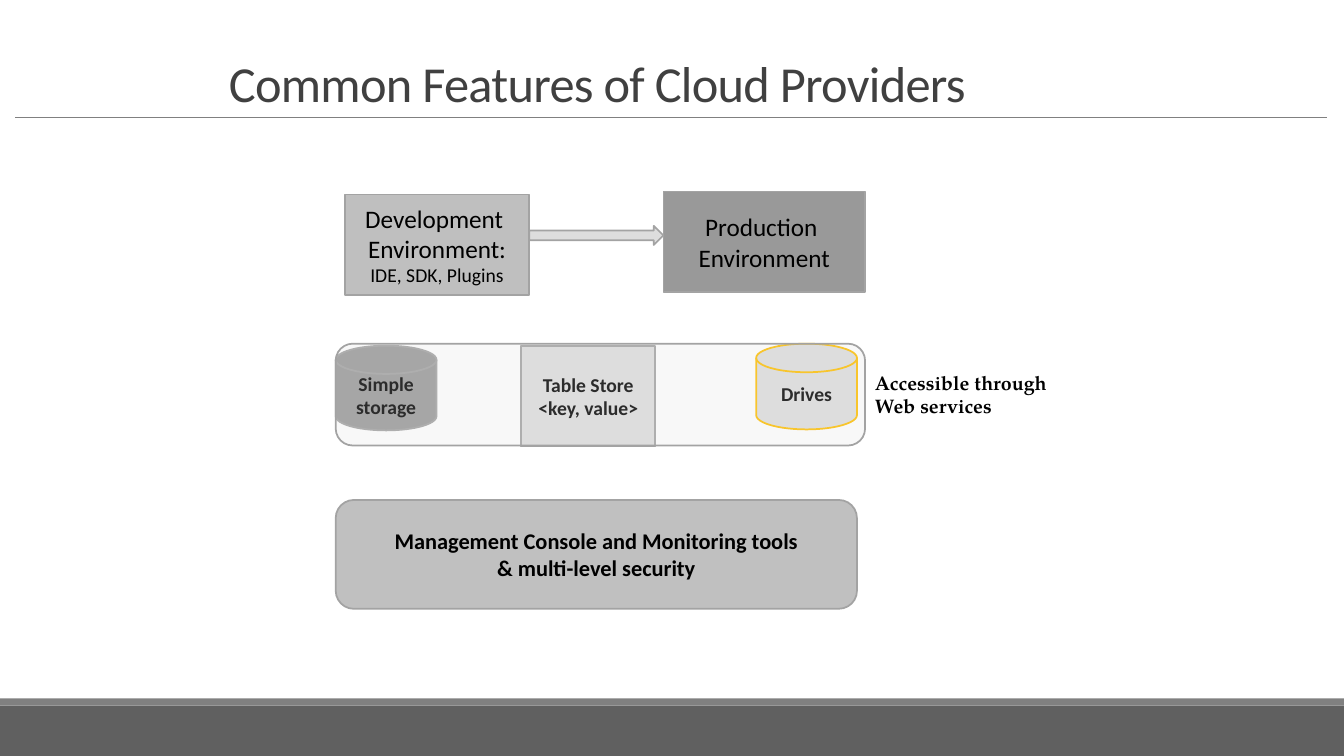
from lxml import etree
from pptx import Presentation
from pptx import util as u
from pptx.dml import color
from pptx.enum import shapes, text
from pptx.oxml import ns

SHAPE = shapes.MSO_SHAPE
EDGE = "A3A3A3"
PALE = "DDDDDD"


def rgb(value):
    """Turn a hex string into a colour."""
    return color.RGBColor.from_string(value)


def add_run(paragraph, words, size, bold=False, font="Calibri", ink="000000"):
    """Append one formatted run to a paragraph."""
    run = paragraph.add_run()
    run.text = words
    run.font.size = u.Pt(size)
    run.font.bold = bold
    run.font.name = font
    run.font.color.rgb = rgb(ink)
    return run


def write_lines(frame, lines, align, bold=False, font="Calibri"):
    """Write lines, each a list of (words, size) runs."""
    for index, line in enumerate(lines):
        paragraph = frame.add_paragraph() if index else frame.paragraphs[0]
        paragraph.alignment = align
        for words, size in line:
            add_run(paragraph, words, size, bold, font)


def add_block(parent, kind, box, fill, lines=(), bold=False, edge=EDGE):
    """Draw an outlined shape with centred text."""
    block = parent.add_shape(kind, *map(u.Inches, box))
    block.shadow.inherit = False
    block.fill.solid()
    block.fill.fore_color.rgb = rgb(fill)
    block.line.color.rgb = rgb(edge)
    block.line.width = u.Pt(1.25)
    frame = block.text_frame
    frame.word_wrap = True
    frame.vertical_anchor = text.MSO_ANCHOR.MIDDLE
    write_lines(frame, lines, text.PP_ALIGN.CENTER, bold)
    return block


def add_header(slide, left, top, width, height):
    """Place the title and the rule beneath it."""
    title = slide.shapes.title
    title.left, title.top, title.width, title.height = map(
        u.Inches, (left, top, width, height))
    frame = title.text_frame
    frame.word_wrap = True
    frame.auto_size = text.MSO_AUTO_SIZE.NONE
    frame.vertical_anchor = text.MSO_ANCHOR.BOTTOM
    paragraph = frame.paragraphs[0]
    paragraph.alignment = text.PP_ALIGN.LEFT
    paragraph.line_spacing = 0.85
    heading = add_run(paragraph, "Common Features of Cloud Providers", 36, ink="404040")
    heading.font._element.set("spc", "-50")

    y = u.Inches(top + height - 0.01)
    rule = slide.shapes.add_connector(
        shapes.MSO_CONNECTOR.STRAIGHT, u.Inches(0.15), y, u.Inches(13.16), y)
    rule.line.color.rgb = rgb("808080")
    rule.line.width = u.Pt(0.5)
    etree.SubElement(rule._element.spPr, ns.qn("a:effectLst"))


def add_footer(slide, top, width, height):
    """Draw the dark footer band and its lighter top strip."""
    strip = 0.07
    for y, depth, fill in ((top + strip, height - strip, "606060"),
                           (top, strip, "808080")):
        band = slide.shapes.add_shape(
            SHAPE.RECTANGLE, *map(u.Inches, (0, y, width, depth)))
        band.shadow.inherit = False
        band.fill.solid()
        band.fill.fore_color.rgb = rgb(fill)
        band.line.fill.background()


def add_environments(slide, left, top):
    """Draw the development and production boxes joined by an arrow."""
    group = slide.shapes.add_group_shape().shapes
    dev_width, gap = 1.83, 1.33
    add_block(group, SHAPE.RECTANGLE, (left, top + 0.03, dev_width, 1), "BFBFBF",
              [[("Development ", 18)],
               [("Environment: ", 18), ("IDE, SDK, Plugins", 14)]])
    add_block(group, SHAPE.RECTANGLE, (left + dev_width + gap, top, 2, 1), "999999",
              [[("Production ", 18)], [("Environment", 18)]])
    add_block(group, SHAPE.RIGHT_ARROW,
              (left + dev_width, top + 0.34, gap, 0.19), PALE)


def add_storage(slide, left, top, width, height):
    """Draw the three stores under a translucent panel with its caption."""
    group = slide.shapes.add_group_shape().shapes
    disk = SHAPE.FLOWCHART_MAGNETIC_DISK
    add_block(group, disk, (left, top + 0.02, 1, 0.84), "999999",
              [[("Simple", 14)], [("storage", 14)]], True)
    add_block(group, SHAPE.RECTANGLE, (left + 1.84, top + 0.02, 1.33, 1), PALE,
              [[("Table Store <key, value>", 14)]], True)
    add_block(group, disk, (left + 4.17, top, 1, 0.85), PALE,
              [[("Drives", 14)]], True, "FFC000")
    panel = add_block(group, SHAPE.ROUNDED_RECTANGLE, (left, top, width, height), PALE)
    tint = panel.fill._xPr.find(ns.qn("a:solidFill"))[0]
    etree.SubElement(tint, ns.qn("a:alpha"), val="20000")

    caption = group.add_textbox(
        *map(u.Inches, (left + width, top + 0.22, 1.97, 0.57))).text_frame
    caption.word_wrap = False
    caption.auto_size = text.MSO_AUTO_SIZE.SHAPE_TO_FIT_TEXT
    write_lines(caption, [[("Accessible through", 14)], [("Web services", 14)]],
                text.PP_ALIGN.LEFT, True, "TeX Gyre Pagella")


def add_management(slide, *box):
    """Draw the management and security panel."""
    add_block(slide.shapes, SHAPE.ROUNDED_RECTANGLE, box, "C0C0C0",
              [[("Management Console and Monitoring tools", 16)],
               [("& multi-level security", 16)]], True)


def main():
    """Build and save the slide."""
    deck = Presentation()
    deck.slide_width, deck.slide_height = u.Inches(13.33), u.Inches(7.5)
    slide = deck.slides.add_slide(deck.slide_layouts[5])
    add_footer(slide, 6.93, 13.33, 0.57)
    add_header(slide, 2.17, 0, 9, 1.17)
    add_environments(slide, 3.42, 1.9)
    add_storage(slide, 3.33, 3.41, 5.25, 1.01)
    add_management(slide, 3.33, 4.96, 5.17, 1.08)
    deck.save("out.pptx")


if __name__ == "__main__":
    main()
